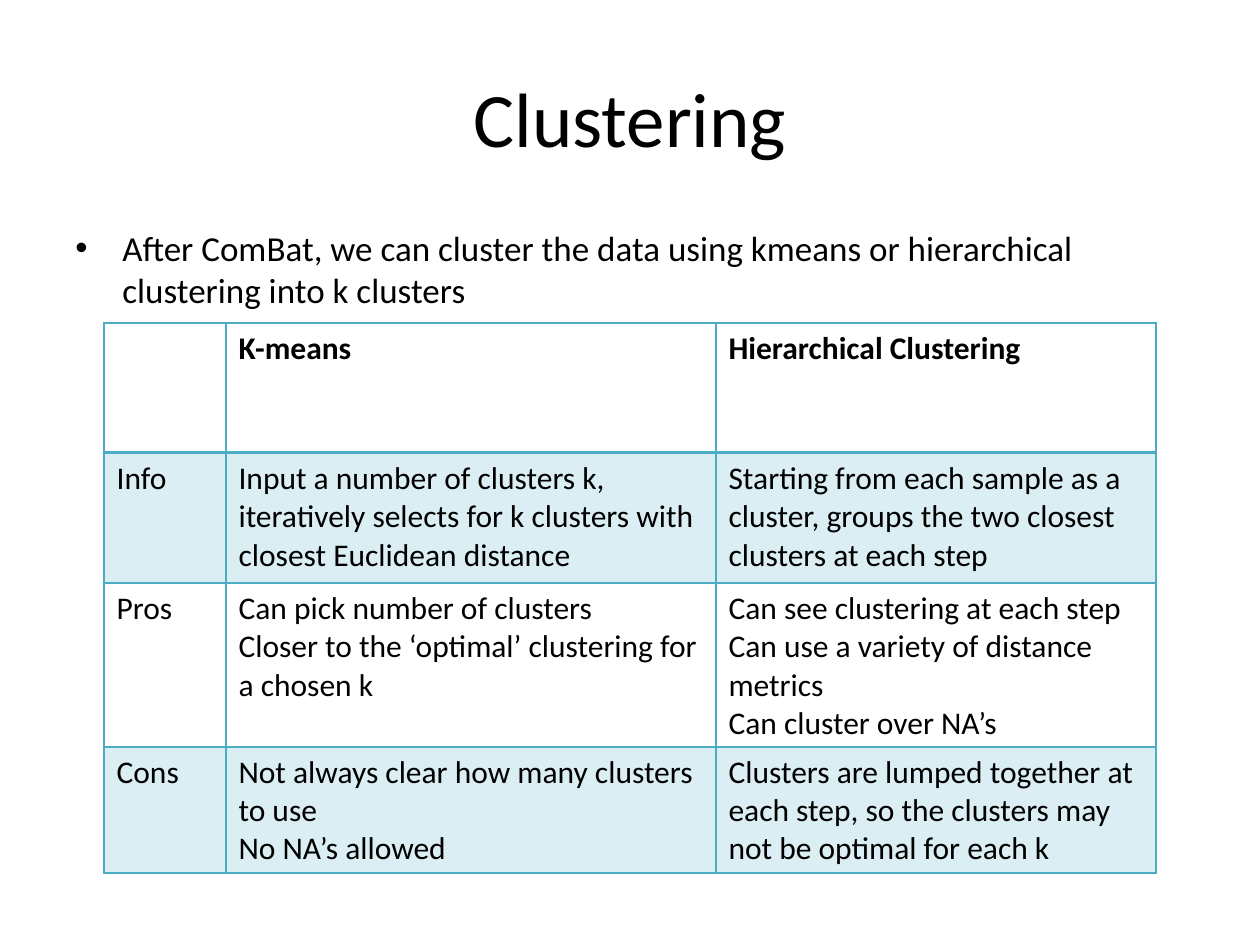
from lxml import etree
from pptx import Presentation
from pptx import util as u
from pptx.dml.color import RGBColor
from pptx.enum import text
from pptx.oxml import ns

SCALE = 914400 / 126
TEAL = "4BACC6"
COLS = [122, 490, 440]
ROWS = [130, 130, 76, 76]
CELLS = [
    ["", "K-means", "Hierarchical Clustering"],
    ["Info",
     "Input a number of clusters k, iteratively selects for k clusters with closest Euclidean distance",
     "Starting from each sample as a cluster, groups the two closest clusters at each step"],
    ["Pros",
     "Can pick number of clusters\nCloser to the ‘optimal’ clustering for a chosen k",
     "Can see clustering at each step\nCan use a variety of distance metrics\nCan cluster over NA’s"],
    ["Cons",
     "Not always clear how many clusters to use\nNo NA’s allowed",
     "Clusters are lumped together at each step, so the clusters may not be optimal for each k"],
]


def px(n):
    """Turn pixels into EMU."""
    return u.Emu(round(n * SCALE))


def rgb(value):
    """Turn a hex string into a colour."""
    return RGBColor.from_string(value)


def sub(parent, tag, **attrs):
    """Append a drawing element with attributes."""
    return etree.SubElement(parent, ns.qn(tag), {k: str(v) for k, v in attrs.items()})


def write(tf, content, size=18, bold=False, color="000000", align=text.PP_ALIGN.LEFT):
    """Fill a text frame with one paragraph per line."""
    tf.word_wrap = True
    for i, line in enumerate(content.split("\n")):
        p = tf.paragraphs[0] if i == 0 else tf.add_paragraph()
        p.alignment = align
        p.font.size = u.Pt(size)
        if line:
            r = p.add_run()
            r.text = line
            r.font.name = "Calibri"
            r.font.size = u.Pt(size)
            r.font.bold = bold
            r.font.color.rgb = rgb(color)


def add_title(s, content):
    """Place and format the title placeholder."""
    sp = s.shapes.title
    sp.left, sp.top, sp.width, sp.height = px(63), px(38), px(1134), px(158)
    sp.text_frame.vertical_anchor = text.MSO_ANCHOR.MIDDLE
    write(sp.text_frame, content, size=44, align=text.PP_ALIGN.CENTER)


def add_bullet(s, content):
    """Add a text box with one bulleted paragraph."""
    sp = s.shapes.add_textbox(px(63), px(220), px(1134), px(102))
    write(sp.text_frame, content, size=20)
    p = sp.text_frame.paragraphs[0]
    p.space_before = u.Pt(4)
    props = p._p.get_or_add_pPr()
    props.set("marL", str(px(47)))
    props.set("indent", str(px(-47)))
    sub(props, "a:buFont", typeface="Arial")
    sub(props, "a:buChar", char="•")


def set_border(cell, side, width):
    """Draw one side of a cell in teal."""
    ln = sub(cell._tc.get_or_add_tcPr(), f"a:ln{side}", w=u.Pt(width))
    sub(sub(ln, "a:solidFill"), "a:srgbClr", val=TEAL)


def set_fill(cell, shaded):
    """Give a cell a light teal tint or no fill."""
    if not shaded:
        cell.fill.background()
        return
    cell.fill.solid()
    cell.fill.fore_color.rgb = rgb(TEAL)
    color = cell._tc.tcPr.find(ns.qn("a:solidFill"))[0]
    sub(color, "a:alpha", val=20000)


def add_comparison(s):
    """Add the table that compares the clustering methods."""
    frame = s.shapes.add_table(len(ROWS), len(COLS), px(104), px(323), px(sum(COLS)), px(549))
    table = frame.table
    table.first_row = table.horz_banding = False
    for column, width in zip(table.columns, COLS):
        column.width = px(width)
    for i, height in enumerate(ROWS):
        table.rows[i].height = px(height)
        for j, content in enumerate(CELLS[i]):
            cell = table.cell(i, j)
            write(cell.text_frame, content, bold=i == 0)
            for side in "LRTB":
                header_rule = (i, side) in [(0, "B"), (1, "T")]
                set_border(cell, side, 2 if header_rule else 1)
            set_fill(cell, i % 2 == 1)
    frame.height = px(549)


def main():
    """Build the clustering slide."""
    prs = Presentation()
    prs.slide_width, prs.slide_height = px(1260), px(945)
    s = prs.slides.add_slide(prs.slide_layouts[5])
    add_title(s, "Clustering")
    add_bullet(s, "After ComBat, we can cluster the data using kmeans or hierarchical clustering into k clusters")
    add_comparison(s)
    prs.save("out.pptx")


if __name__ == "__main__":
    main()
